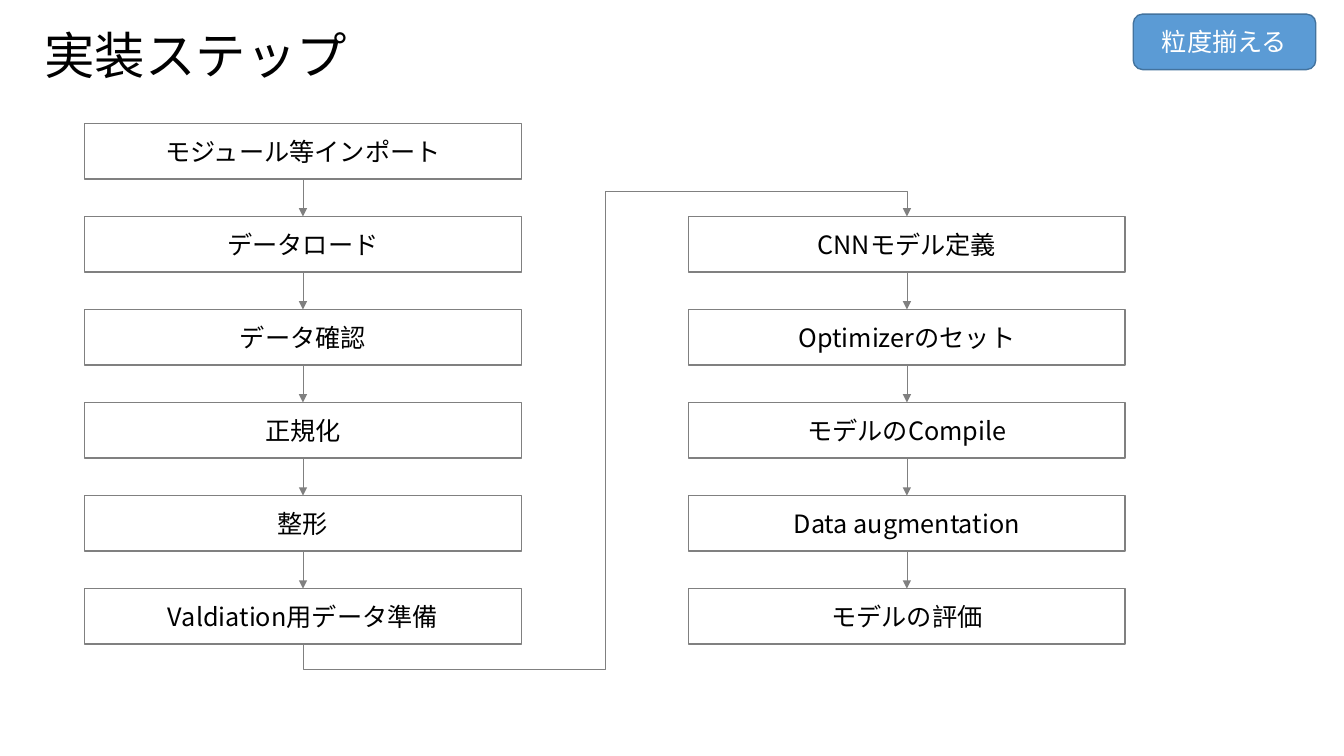
from lxml import etree
from pptx import Presentation
from pptx.dml.color import RGBColor
from pptx.enum.shapes import MSO_CONNECTOR, MSO_SHAPE
from pptx.enum.text import MSO_ANCHOR, PP_ALIGN
from pptx.oxml.ns import qn
from pptx.util import Inches, Pt

RECTANGLE, ROUNDED = MSO_SHAPE.RECTANGLE, MSO_SHAPE.ROUNDED_RECTANGLE
STRAIGHT, ELBOW = MSO_CONNECTOR.STRAIGHT, MSO_CONNECTOR.ELBOW
LEFT, CENTER = PP_ALIGN.LEFT, PP_ALIGN.CENTER
MIDDLE = MSO_ANCHOR.MIDDLE
BOTTOM_SITE, TOP_SITE = 2, 0

TITLE = "実装ステップ"
BADGE = "粒度揃える"
# Left edge, row of the first step, steps
COLUMNS = [
    (0.84, 0, ["モジュール等インポート", "データロード", "データ確認", "正規化", "整形",
               "Valdiation用データ準備"]),
    (6.83, 1, ["CNNモデル定義", "Optimizerのセット", "モデルのCompile",
               "Data augmentation", "モデルの評価"]),
]
FIRST_TOP, ROW_PITCH = 1.225, 0.923
STEP_WIDTH, STEP_HEIGHT = 4.33, 0.55
DETOUR = 0.25  # how far the elbow runs past the steps it joins
JAPANESE_FONT, LATIN_FONT = "Noto Sans CJK JP", "Calibri"
GRAY, BLUE, DARK_BLUE, BLACK, WHITE = "808080", "5B9BD5", "43739E", "000000", "FFFFFF"


def color(hex_string):
    return RGBColor.from_string(hex_string)


def write(shape, text, size, font_name, font_color, alignment):
    frame = shape.text_frame
    frame.text = text
    frame.word_wrap = True
    frame.vertical_anchor = MIDDLE
    paragraph = frame.paragraphs[0]
    paragraph.alignment = alignment
    font = paragraph.font
    font.size = Pt(size)
    font.name = font_name
    font.color.rgb = color(font_color)
    return paragraph


def add_box(slide, kind, left, top, width, text, line_color, font_name, font_color, fill=None):
    shape = slide.shapes.add_shape(kind, Inches(left), Inches(top), Inches(width),
                                   Inches(STEP_HEIGHT))
    shape.shadow.inherit = False
    if fill:
        shape.fill.solid()
        shape.fill.fore_color.rgb = color(fill)
    else:
        shape.fill.background()
    shape.line.color.rgb = color(line_color)
    shape.line.width = Pt(1)
    write(shape, text, 18, font_name, font_color, CENTER)
    return shape


def add_arrow(slide, kind, start, end):
    """Join the bottom of one step to the top of another."""
    arrow = slide.shapes.add_connector(kind, 0, 0, 0, 0)
    arrow.begin_connect(start, BOTTOM_SITE)
    arrow.end_connect(end, TOP_SITE)
    arrow.line.color.rgb = color(GRAY)
    arrow.line.width = Pt(0.5)
    properties = arrow._element.spPr
    etree.SubElement(properties.find(qn("a:ln")), qn("a:tailEnd"), type="triangle")
    etree.SubElement(properties, qn("a:effectLst"))
    return arrow


def route_between_columns(arrow):
    """Turn the elbow so that it leaves downwards and arrives from above."""
    across, rise = arrow.width, arrow.height
    middle_x, middle_y = arrow.left + across // 2, arrow.top + rise // 2
    arrow.left, arrow.top = middle_x - rise // 2, middle_y - across // 2
    arrow.width, arrow.height = rise, across
    properties = arrow._element.spPr
    frame = properties.find(qn("a:xfrm"))
    for name, value in (("rot", "5400000"), ("flipH", "1"), ("flipV", "1")):
        frame.set(name, value)
    geometry = properties.find(qn("a:prstGeom"))
    geometry.set("prst", "bentConnector5")
    guides = geometry.find(qn("a:avLst"))
    overshoot = round(100000 * Inches(DETOUR) / rise)
    for number, value in enumerate((-overshoot, 50000, 100000 + overshoot), 1):
        etree.SubElement(guides, qn("a:gd"), name=f"adj{number}", fmla=f"val {value}")


def main():
    presentation = Presentation()
    presentation.slide_width, presentation.slide_height = Inches(13.33), Inches(7.5)
    slide = presentation.slides.add_slide(presentation.slide_layouts[5])

    title = slide.shapes.title
    title.left, title.top = Inches(0.34), Inches(0.21)
    title.width, title.height = Inches(12.72), Inches(0.74)
    write(title, TITLE, 36, JAPANESE_FONT, BLACK, LEFT).line_spacing = 0.9

    columns = []
    for left, first_row, steps in COLUMNS:
        boxes = [
            add_box(slide, RECTANGLE, left, FIRST_TOP + row * ROW_PITCH, STEP_WIDTH, step,
                    GRAY, JAPANESE_FONT, BLACK)
            for row, step in enumerate(steps, first_row)
        ]
        for start, end in zip(boxes, boxes[1:]):
            add_arrow(slide, STRAIGHT, start, end)
        columns.append(boxes)

    left_steps, right_steps = columns
    route_between_columns(add_arrow(slide, ELBOW, left_steps[-1], right_steps[0]))
    add_box(slide, ROUNDED, 11.24, 0.14, 1.81, BADGE, DARK_BLUE, LATIN_FONT, WHITE, BLUE)
    presentation.save("out.pptx")


if __name__ == "__main__":
    main()
